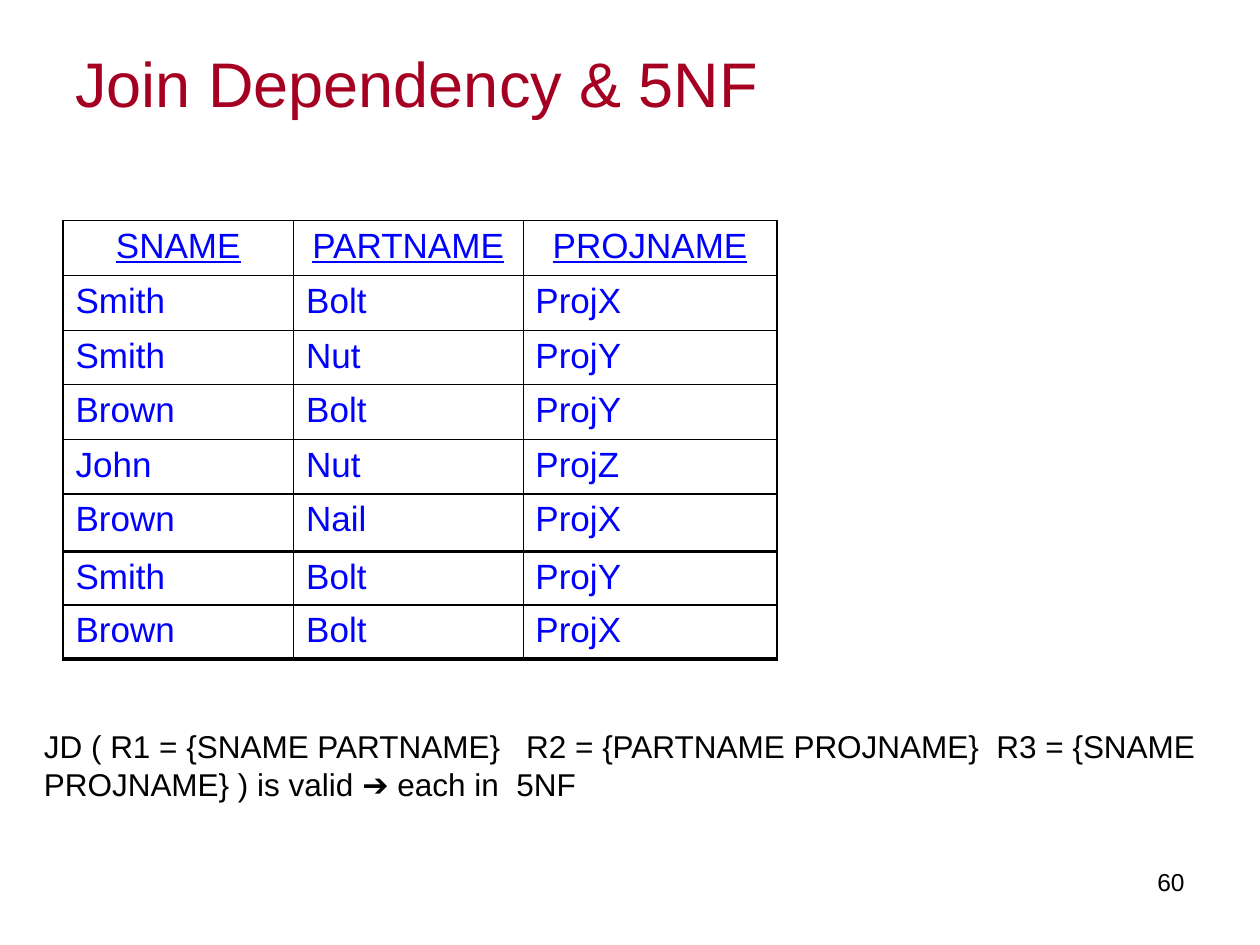
from lxml.etree import SubElement
from pptx import Presentation
from pptx.dml.color import RGBColor
from pptx.enum.text import MSO_ANCHOR as Anchor, PP_ALIGN as Align
from pptx.oxml.ns import qn
from pptx.util import Inches, Pt

COLORS = {"title": "A50021", "cell": "0000FF", "text": "000000", "border": "000000"}
COLUMN_WIDTHS = [1.83, 1.82, 2.02]
OUTER, INNER = 1.08, 0.45


def write_text(frame, text, size=20, color="text", align=Align.LEFT, underline=False):
    para = frame.paragraphs[0]
    para.alignment = align
    span = para.add_run()
    span.text = text
    span.font.name = "Arial"
    span.font.size = Pt(size)
    span.font.underline = underline
    span.font.color.rgb = RGBColor.from_string(COLORS[color])


def add_text(page, left, top, width, height, text, anchor=Anchor.TOP, **style):
    box = page.shapes.add_textbox(
        Inches(left), Inches(top), Inches(width), Inches(height))
    frame = box.text_frame
    frame.word_wrap = True
    frame.vertical_anchor = anchor
    write_text(frame, text, **style)


def set_borders(cell, widths):
    props = cell._tc.get_or_add_tcPr()
    for side, width in widths.items():
        line = SubElement(props, qn(f"a:ln{side}"), w=str(int(Pt(width))))
        fill = SubElement(line, qn("a:solidFill"))
        SubElement(fill, qn("a:srgbClr"), val=COLORS["border"])


def add_grid(page, top, row_height, rows, has_header=False):
    frame = page.shapes.add_table(
        len(rows), len(COLUMN_WIDTHS), Inches(0.5), Inches(top),
        Inches(sum(COLUMN_WIDTHS)), Inches(row_height * len(rows)))
    table = frame.table
    table.first_row = has_header
    table.horz_banding = False
    for column, width in zip(table.columns, COLUMN_WIDTHS):
        column.width = Inches(width)
    last_row, last_column = len(rows) - 1, len(COLUMN_WIDTHS) - 1
    for r, values in enumerate(rows):
        table.rows[r].height = Inches(row_height)
        is_header = has_header and r == 0
        for c, value in enumerate(values):
            cell = table.cell(r, c)
            set_borders(cell, {
                "L": OUTER if c == 0 else INNER,
                "R": OUTER if c == last_column else INNER,
                "T": OUTER if r == 0 else INNER,
                "B": OUTER if r == last_row else INNER,
            })
            cell.fill.background()
            write_text(cell.text_frame, value, color="cell", underline=is_header,
                       align=Align.CENTER if is_header else Align.LEFT)


def main():
    deck = Presentation()
    deck.slide_width, deck.slide_height = Inches(10), Inches(7.5)
    page = deck.slides.add_slide(deck.slide_layouts[6])

    add_text(page, 7.17, 6.83, 2.33, 0.52, "60", size=14, align=Align.RIGHT)
    add_text(page, 0.5, 0.3, 9, 0.7, "Join Dependency & 5NF",
             anchor=Anchor.MIDDLE, size=36, color="title")

    add_grid(page, 1.75, 0.435, [
        ("SNAME", "PARTNAME", "PROJNAME"),
        ("Smith", "Bolt", "ProjX"),
        ("Smith", "Nut", "ProjY"),
        ("Brown", "Bolt", "ProjY"),
        ("John", "Nut", "ProjZ"),
    ], has_header=True)
    add_grid(page, 3.92, 0.45, [("Brown", "Nail", "ProjX")])
    add_grid(page, 4.38, 0.84, [("Smith", "Bolt", "ProjY")])
    add_grid(page, 4.8, 0.44, [("Brown", "Bolt", "ProjX")])

    add_text(page, 0.25, 5.72, 9.5, 0.7,
             "JD ( R1 = {SNAME PARTNAME}   R2 = {PARTNAME PROJNAME}  "
             "R3 = {SNAME  PROJNAME} ) is valid ➔ each in  5NF", size=18)

    deck.save("out.pptx")


if __name__ == "__main__":
    main()
